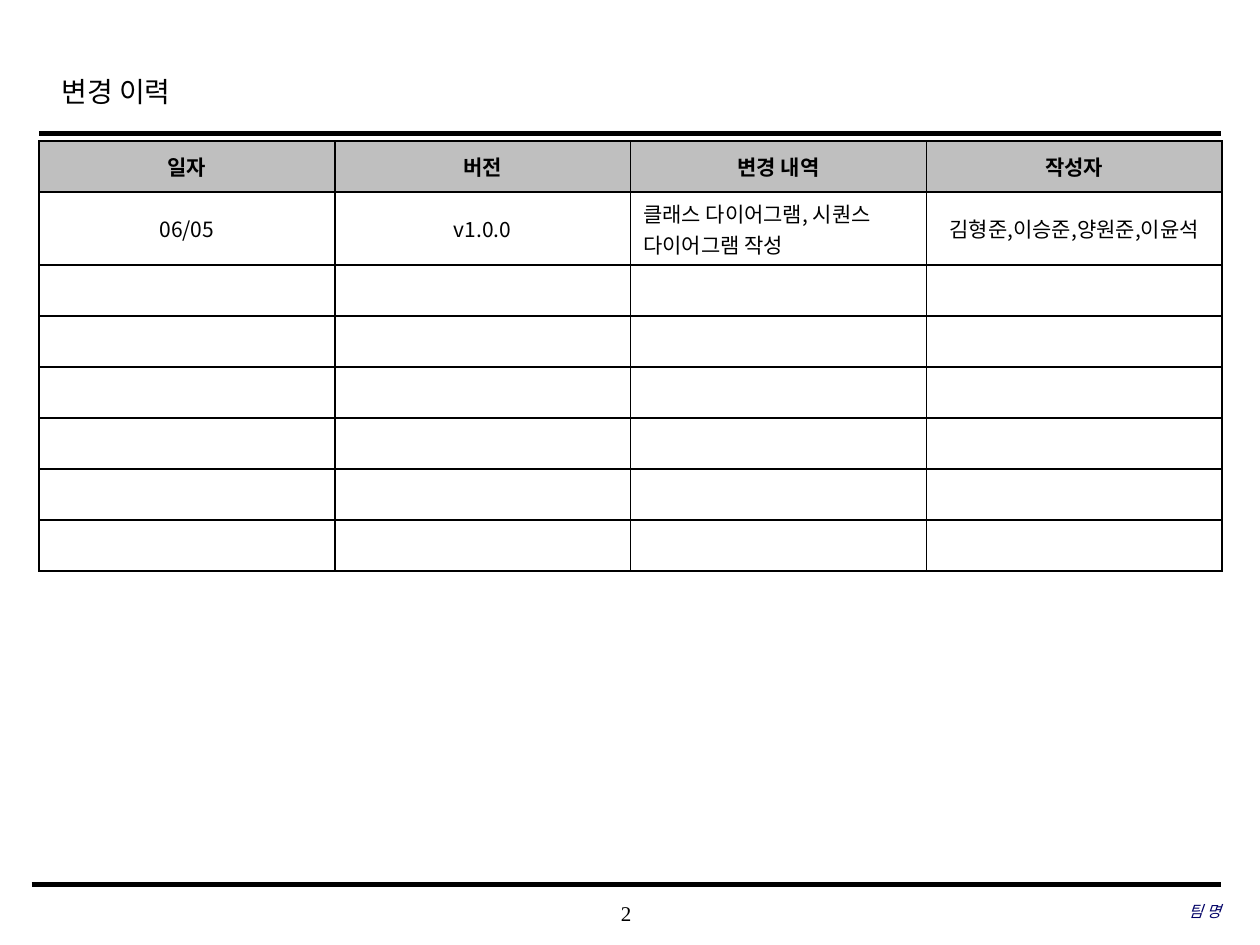
from lxml.etree import SubElement
from pptx import Presentation
from pptx.dml.color import RGBColor
from pptx.enum.shapes import MSO_CONNECTOR
from pptx.enum.text import MSO_ANCHOR, PP_ALIGN
from pptx.oxml.ns import qn
from pptx.util import Inches, Pt

BLACK = RGBColor(0, 0, 0)
WHITE = RGBColor(255, 255, 255)
GRAY = RGBColor(0xBF, 0xBF, 0xBF)
NAVY = RGBColor(0, 0, 0x66)
SANS = "Noto Sans CJK KR"
SERIF = "Times New Roman"


def write(frame, text, size, face, align, color=BLACK, bold=False, slant=False):
    frame.text = text
    para = frame.paragraphs[0]
    para.alignment = align
    for run in para.runs:
        font = run.font
        font.size = Pt(size)
        font.name = face
        font.bold = bold
        font.italic = slant
        font.color.rgb = color
        SubElement(font._element, qn("a:ea"), typeface=SANS)
    if not text:
        SubElement(para._p, qn("a:endParaRPr"), sz=str(size * 100))


def edge(cell):
    props = cell._tc.get_or_add_tcPr()
    for side in ("lnL", "lnR", "lnT", "lnB"):
        line = SubElement(props, qn("a:" + side), w=str(Pt(1)))
        fill = SubElement(line, qn("a:solidFill"))
        SubElement(fill, qn("a:srgbClr"), val=str(BLACK))


deck = Presentation()
deck.slide_width = Inches(10)
deck.slide_height = Inches(7.5)
slide = deck.slides.add_slide(deck.slide_layouts[6])
shapes = slide.shapes

for left, top, width in ((0.31, 1.06, 2.5), (0.25, 7.02, 3)):
    rule = shapes.add_connector(
        MSO_CONNECTOR.STRAIGHT, Inches(left), Inches(top), Inches(9.69), Inches(top)
    )
    rule.line.color.rgb = BLACK
    rule.line.width = Pt(width)
    SubElement(rule._element.spPr, qn("a:effectLst"))

title = shapes.add_textbox(Inches(0.39), Inches(0.49), Inches(7.55), Inches(0.5))
title.text_frame.word_wrap = True
write(title.text_frame, "변경 이력", 16, SERIF, PP_ALIGN.LEFT)
title.text_frame.paragraphs[0].line_spacing = 1.2

notes = (
    ("2", 3.93, 7.08, 2.08, 12, PP_ALIGN.CENTER, BLACK, False),
    ("팀 명", 6.63, 7.07, 3.06, 9, PP_ALIGN.RIGHT, NAVY, True),
)
for text, left, top, width, size, align, color, slant in notes:
    box = shapes.add_textbox(Inches(left), Inches(top), Inches(width), Inches(0.33))
    frame = box.text_frame
    frame.word_wrap = True
    frame.vertical_anchor = MSO_ANCHOR.MIDDLE
    frame.margin_left = frame.margin_right = 0
    frame.margin_top = frame.margin_bottom = 0
    write(frame, text, size, SERIF, align, color, slant=slant)

rows = [
    ("일자", "버전", "변경 내역", "작성자"),
    ("06/05", "v1.0.0", "클래스 다이어그램, 시퀀스 다이어그램 작성", "김형준,이승준,양원준,이윤석"),
] + [("",) * 4] * 6

table = shapes.add_table(
    len(rows), 4, Inches(0.31), Inches(1.12), Inches(9.39), Inches(3.24)
).table
table.rows[1].height = Inches(0.58)
for i, row in enumerate(rows):
    for j, text in enumerate(row):
        cell = table.cell(i, j)
        edge(cell)
        cell.fill.solid()
        cell.fill.fore_color.rgb = WHITE if i else GRAY
        cell.vertical_anchor = MSO_ANCHOR.MIDDLE
        align = PP_ALIGN.LEFT if i and j == 2 else PP_ALIGN.CENTER
        write(cell.text_frame, text, 12, SANS, align, bold=i == 0)

deck.save("out.pptx")
